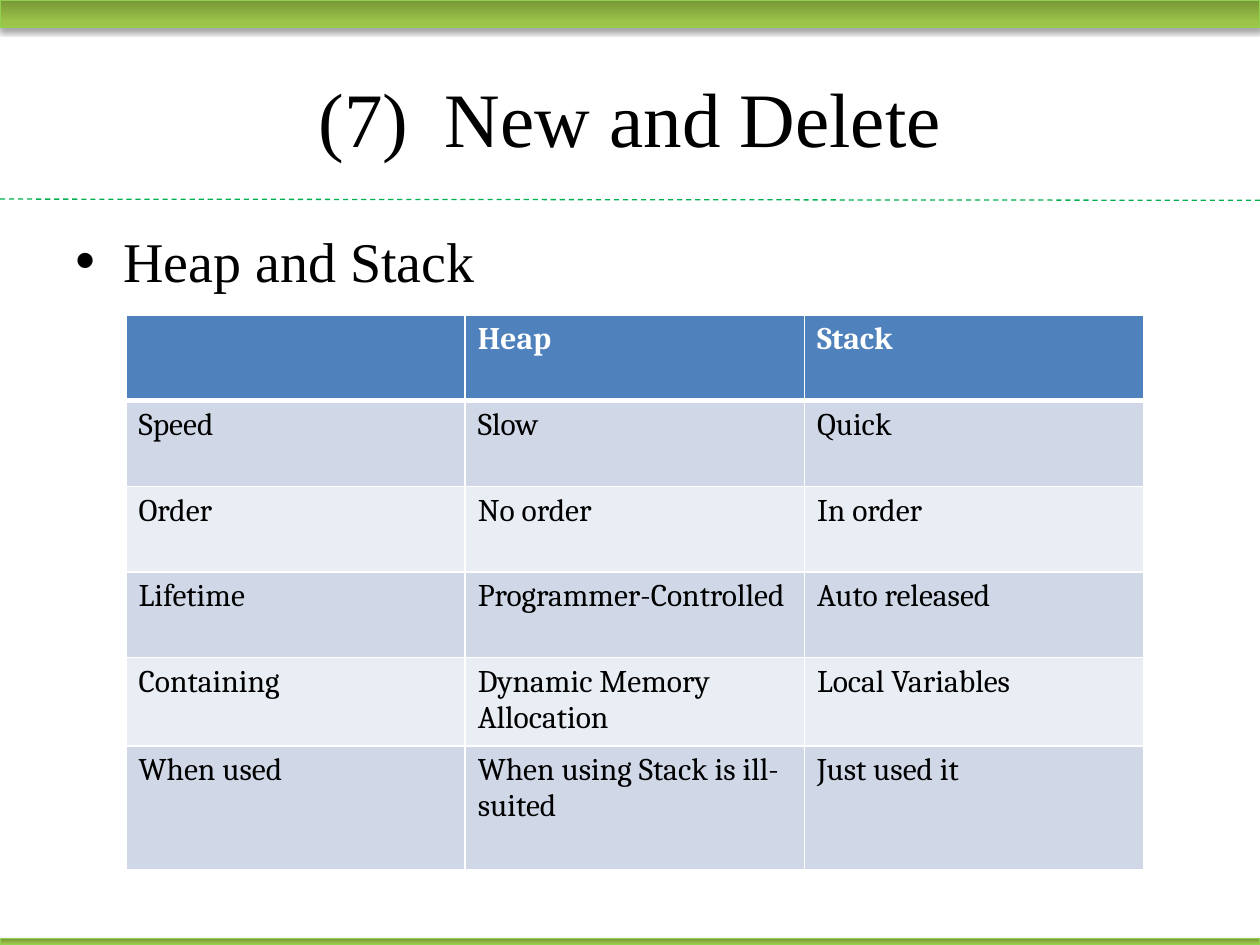
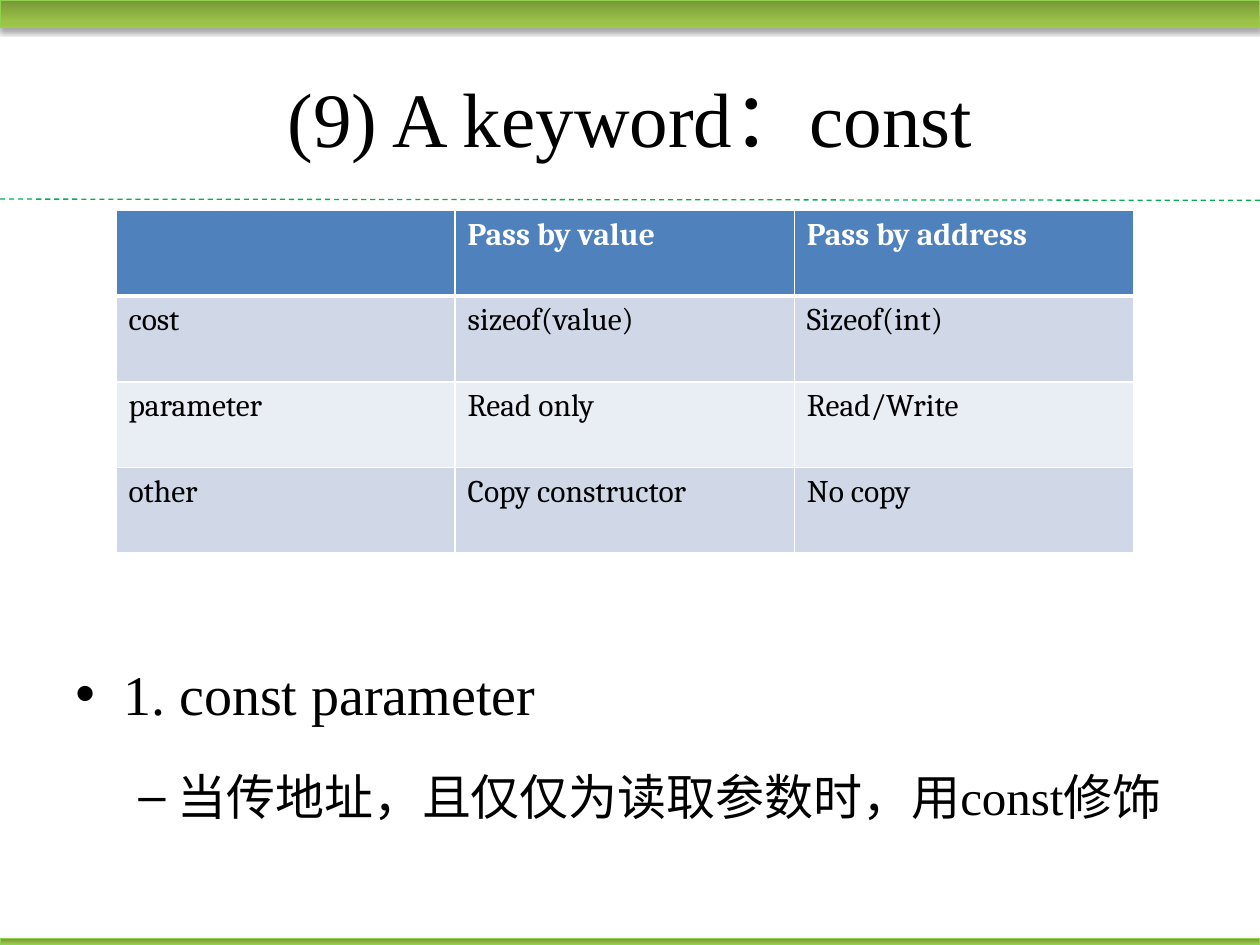
"""Build two lecture slides with shared bands, titles, bullets and tables."""
from copy import deepcopy
from dataclasses import dataclass

from lxml import etree
from pptx import Presentation, util as u
from pptx.dml.color import RGBColor
from pptx.enum import dml, shapes, text
from pptx.oxml import ns


@dataclass(frozen=True)
class Theme:
    """Colours, fonts and type sizes."""
    ink: str = "000000"
    paper: str = "FFFFFF"
    header: str = "4F81BD"
    stripes: tuple = ("D0D8E8", "E9EDF4")
    band_stops: tuple = ((0, "779737"), (0.8, "9BC348"), (1, "9DC746"))
    band_edge: str = "92D050"
    rule: str = "00B050"
    text_font: str = "Times New Roman"
    table_font: str = "Cambria"
    title_size: int = 44
    body_sizes: tuple = (32, 28)
    table_size: int = 18


@dataclass(frozen=True)
class Area:
    """A rectangle in grid columns and rows."""
    column: float
    row: float
    columns: float
    rows: float

    def box(self) -> tuple:
        """Return left, top, width and height as lengths."""
        return (across(self.column), down(self.row),
                across(self.columns), down(self.rows))


@dataclass(frozen=True)
class Bullet:
    """A bulleted paragraph and its level."""
    words: str
    level: int = 0


@dataclass(frozen=True)
class Grid:
    """A table's corner, row heights and wording."""
    column: float
    row: float
    heights: tuple
    cells: tuple


@dataclass(frozen=True)
class Page:
    """The content of one slide."""
    title: str
    body: Area
    bullets: tuple
    table: Grid
    line_spacing: float = 1.0


THEME = Theme()
WIDTH, HEIGHT = u.Inches(10), u.Inches(7.5)
COLUMNS, ROWS = 40, 30
TITLE = Area(2, 1.2, 36, 5)
BANDS = (Area(0, 0, COLUMNS, 0.88), Area(0, 29.8, COLUMNS, 0.2))
RULE_ROWS = (6.32, 6.36)
TABLE_COLUMN, TABLE_ROW = 10.77, 2.72
MARKS = (("•", 0.38, -0.38), ("–", 0.81, -0.31))

PAGES = (
    Page("(7)\tNew and Delete", Area(2, 7, 36, 4), (Bullet("Heap and Stack"),),
         Grid(4, 10, (TABLE_ROW,) * 5 + (3.92,), (
             ("", "Heap", "Stack"),
             ("Speed", "Slow", "Quick"),
             ("Order", "No order", "In order"),
             ("Lifetime", "Programmer-Controlled", "Auto released"),
             ("Containing", "Dynamic Memory Allocation", "Local Variables"),
             ("When used", "When using Stack is ill-suited", "Just used it")))),
    Page("(9) A keyword：const", Area(2, 19.68, 36, 7.12),
         (Bullet("1. const parameter"),
          Bullet("当传地址，且仅仅为读取参数时，用const修饰", 1)),
         Grid(3.68, 6.68, (TABLE_ROW,) * 4, (
             ("", "Pass by value", "Pass by address"),
             ("cost", "sizeof(value)", "Sizeof(int)"),
             ("parameter", "Read only", "Read/Write"),
             ("other", "Copy constructor", "No copy"))), 1.5),
)


def across(columns: float) -> int:
    """Turn grid columns into a length."""
    return round(WIDTH * columns / COLUMNS)


def down(rows: float) -> int:
    """Turn grid rows into a length."""
    return round(HEIGHT * rows / ROWS)


def apply(target, values: dict) -> None:
    """Set each named attribute of a target."""
    for name, value in values.items():
        setattr(target, name, value)


def add_node(parent, tag: str, **attributes):
    """Append a DrawingML element."""
    return etree.SubElement(parent, ns.qn(tag), attributes)


def format_font(font, name: str, size: int, colour: str, bold: bool = False) -> None:
    """Give a font its face, size, weight and colour."""
    apply(font, {"name": name, "size": u.Pt(size), "bold": bold})
    font.color.rgb = RGBColor.from_string(colour)


def draw_band(slide, area: Area) -> None:
    """Draw a green gradient band with a soft shadow."""
    band = slide.shapes.add_shape(shapes.MSO_SHAPE.RECTANGLE, *area.box())
    band.shadow.inherit = False
    band.fill.gradient()
    band.fill.gradient_angle = 270
    first = band.fill.gradient_stops[0]
    stop_list = band.element.spPr.find(".//" + ns.qn("a:gsLst"))
    stop_list.insert(1, deepcopy(stop_list[0]))
    for stop, (position, colour) in zip(band.fill.gradient_stops, THEME.band_stops):
        stop.position = position
        stop.color.rgb = RGBColor.from_string(colour)
    band.line.color.rgb = RGBColor.from_string(THEME.band_edge)
    band.line.width = u.Pt(0.75)
    effects = band.element.spPr.find(ns.qn("a:effectLst"))
    shadow = add_node(effects, "a:outerShdw", blurRad=str(u.Pt(3.1)),
                      dist=str(u.Pt(1.8)), dir="5400000", rotWithShape="0")
    colour = add_node(shadow, "a:srgbClr", val=THEME.ink)
    add_node(colour, "a:alpha", val="35000")


def draw_rule(slide) -> None:
    """Draw the dashed line below the title."""
    start, end = map(down, RULE_ROWS)
    rule = slide.shapes.add_connector(
        shapes.MSO_CONNECTOR.STRAIGHT, 0, start, WIDTH, end)
    rule.line.color.rgb = RGBColor.from_string(THEME.rule)
    apply(rule.line, {"width": u.Pt(0.75), "dash_style": dml.MSO_LINE.DASH})
    add_node(rule.element.spPr, "a:effectLst")


def write_title(slide, words: str) -> None:
    """Place and format the title placeholder."""
    title = slide.shapes.title
    apply(title, dict(zip(("left", "top", "width", "height"), TITLE.box())))
    title.text_frame.text = words
    title.text_frame.vertical_anchor = text.MSO_ANCHOR.MIDDLE
    paragraph = title.text_frame.paragraphs[0]
    paragraph.alignment = text.PP_ALIGN.CENTER
    format_font(paragraph.runs[0].font, THEME.text_font, THEME.title_size, THEME.ink)


def write_bullets(slide, page: Page) -> None:
    """Write the bulleted body text."""
    frame = slide.shapes.add_textbox(*page.body.box()).text_frame
    frame.word_wrap = True
    for index, bullet in enumerate(page.bullets):
        paragraph = frame.add_paragraph() if index else frame.paragraphs[0]
        size = THEME.body_sizes[bullet.level]
        apply(paragraph, {"text": bullet.words, "level": bullet.level,
                          "line_spacing": page.line_spacing,
                          "space_before": u.Pt(0.2 * size)})
        format_font(paragraph.runs[0].font, THEME.text_font, size, THEME.ink)
        mark, margin, indent = MARKS[bullet.level]
        properties = paragraph.runs[0].font and paragraph._p.get_or_add_pPr()
        properties.set("marL", str(u.Inches(margin)))
        properties.set("indent", str(u.Inches(indent)))
        add_node(properties, "a:buFont", typeface="Arial")
        add_node(properties, "a:buChar", char=mark)


def format_cell(cell, words: str, row: int) -> None:
    """Write one cell with its borders, fill and font."""
    heading = row == 0
    cell.text = words
    properties = cell._tc.get_or_add_tcPr()
    widths = {"L": 1, "R": 1, "T": 3 if row == 1 else 1, "B": 3 if heading else 1}
    for side, width in widths.items():
        border = add_node(properties, f"a:ln{side}", w=str(u.Pt(width)))
        add_node(add_node(border, "a:solidFill"), "a:srgbClr", val=THEME.paper)
    cell.fill.solid()
    fill = THEME.header if heading else THEME.stripes[(row - 1) % 2]
    cell.fill.fore_color.rgb = RGBColor.from_string(fill)
    format_font(cell.text_frame.paragraphs[0].font, THEME.table_font,
                THEME.table_size, THEME.paper if heading else THEME.ink, heading)
    for run in cell.text_frame.paragraphs[0].runs:
        format_font(run.font, THEME.table_font, THEME.table_size,
                    THEME.paper if heading else THEME.ink, heading)


def draw_table(slide, grid: Grid) -> None:
    """Draw a table with a header and striped rows."""
    count = len(grid.cells[0])
    area = Area(grid.column, grid.row, TABLE_COLUMN * count, sum(grid.heights))
    table = slide.shapes.add_table(len(grid.cells), count, *area.box()).table
    for column in table.columns:
        column.width = across(TABLE_COLUMN)
    for row, (height, line) in enumerate(zip(grid.heights, grid.cells)):
        table.rows[row].height = down(height)
        for column, words in enumerate(line):
            format_cell(table.cell(row, column), words, row)


def build() -> None:
    """Build and save the presentation."""
    presentation = Presentation()
    apply(presentation, {"slide_width": WIDTH, "slide_height": HEIGHT})
    for page in PAGES:
        slide = presentation.slides.add_slide(presentation.slide_layouts[5])
        for area in BANDS:
            draw_band(slide, area)
        draw_rule(slide)
        write_title(slide, page.title)
        write_bullets(slide, page)
        draw_table(slide, page.table)
    presentation.save("out.pptx")


build()
